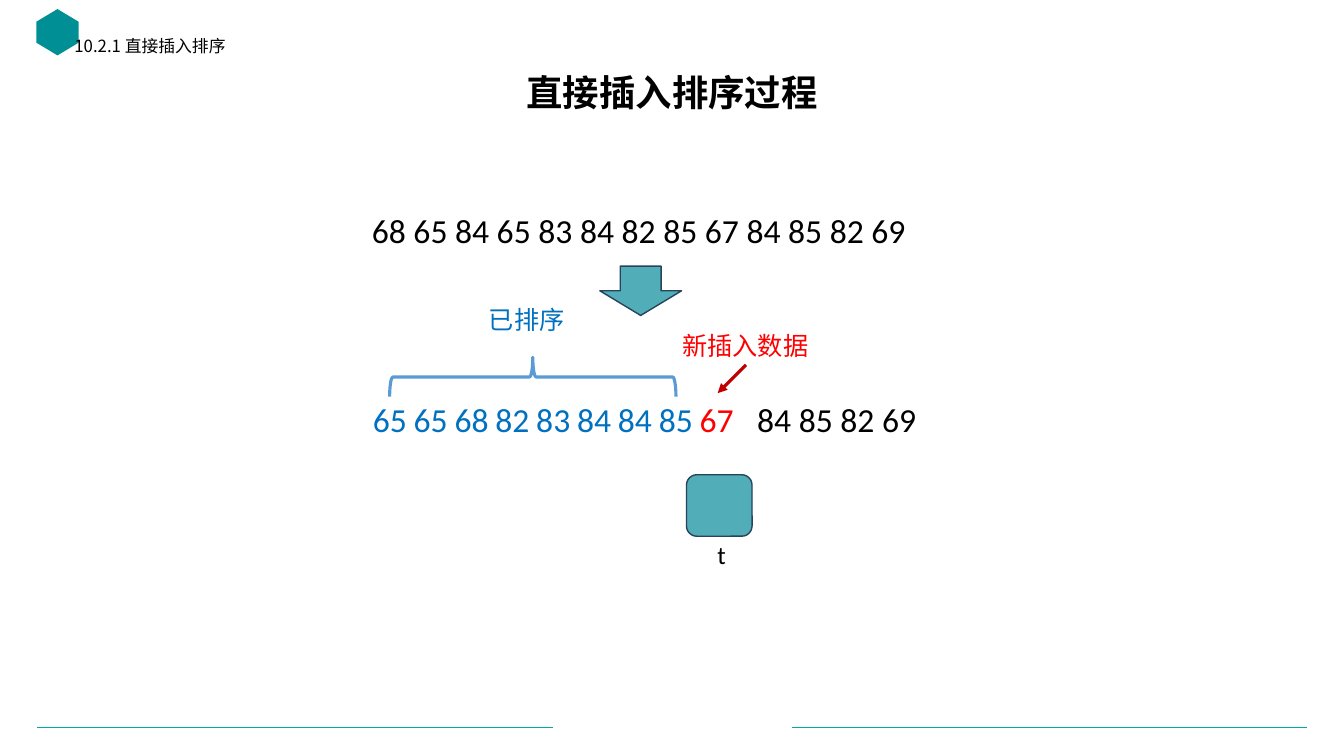
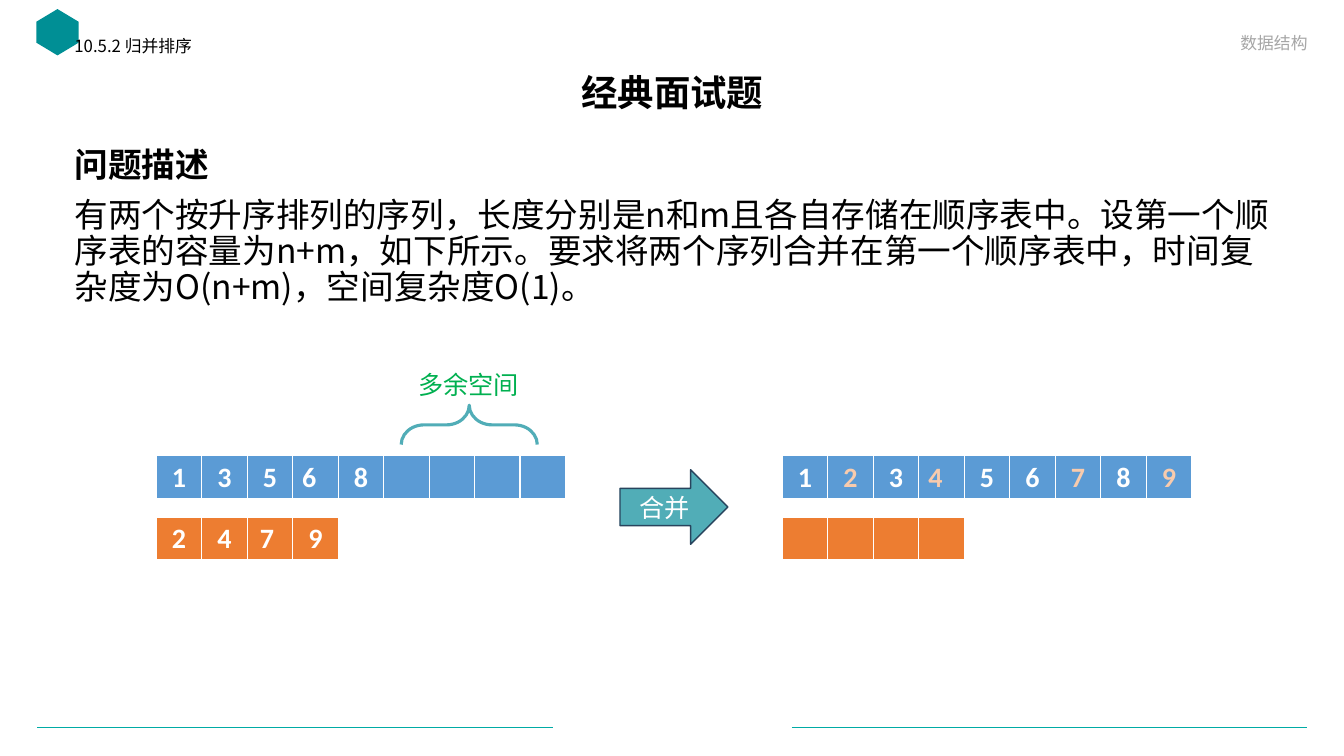
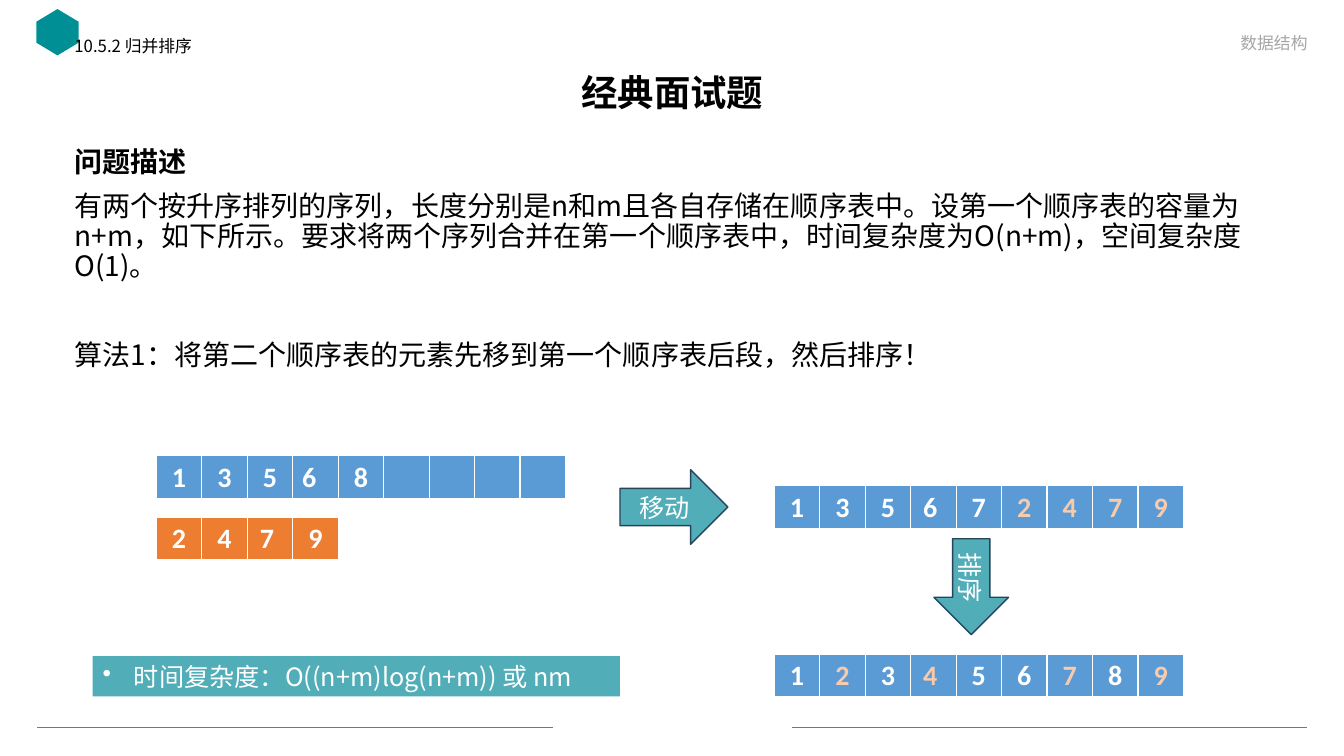
from dataclasses import dataclass

from lxml.etree import SubElement
from pptx import Presentation
from pptx.dml.color import RGBColor as Rgb
from pptx.enum.shapes import MSO_CONNECTOR as Link, MSO_SHAPE as Shape
from pptx.enum.text import MSO_ANCHOR as Anchor, PP_ALIGN as Align
from pptx.oxml import parse_xml
from pptx.oxml.ns import nsdecls, qn
from pptx.util import Inches, Pt


@dataclass(frozen=True)
class Theme:
    """Colours, fonts and type sizes of the deck."""
    ink: str = "000000"
    white: str = "FFFFFF"
    muted: str = "A6A6A6"
    rule: str = "00ABA5"
    mark: str = "008F95"
    teal: str = "51ADB7"
    edge: str = "28445D"
    blue: str = "5B9BD5"
    orange: str = "ED7D31"
    peach: str = "F8CBAD"
    sorted_blue: str = "0070C0"
    red: str = "FF0000"
    dark_red: str = "C00000"
    green: str = "00B050"
    han: str = "Noto Sans CJK SC"
    latin: str = "Calibri"
    title: int = 26
    number: int = 24
    cell: int = 20
    label: int = 18
    header: int = 12
    leading: float = 1.22
    body_leading: float = 1.07


class Deck:
    """Draws slides; every place and size is a percentage of the slide."""

    def __init__(self, theme):
        """Open an empty widescreen deck."""
        self.theme = theme
        self.file = Presentation()
        self.file.slide_width, self.file.slide_height = Inches(13.33), Inches(7.5)
        self.slide = None

    def col(self, share):
        """Turn a share of the width into a length."""
        return round(self.file.slide_width * share / 100)

    def row(self, share):
        """Turn a share of the height into a length."""
        return round(self.file.slide_height * share / 100)

    def box(self, x, y, w, h):
        """Turn four shares into left, top, width and height."""
        return self.col(x), self.row(y), self.col(w), self.row(h)

    def start(self, section, title, course=None):
        """Add a slide with its header, title and footer rules."""
        t = self.theme
        self.slide = self.file.slides.add_slide(self.file.slide_layouts[6])
        for left in (2.78, 58.93):
            self.line((left, 96.27), (left + 38.35, 96.27), t.rule, 0.5)
        self.shape(Shape.HEXAGON, (2.55, 1.47, 3.45, 5.6), t.mark, turn=90, adjust=[0.3])
        self.text((6.9, 8.27, 86.25, 7.6), title, t.title, bold=True,
                  align=Align.CENTER, anchor=Anchor.MIDDLE)
        self.text((4.8, 4, 39.9, 4.8), section, t.header)
        if course:
            self.text((55.73, 2.93, 42.3, 4.67), course, t.header, t.muted,
                      align=Align.RIGHT, anchor=Anchor.BOTTOM)

    def style(self, paragraph, size, color, font=None, bold=False, leading=None):
        """Format the runs of a paragraph."""
        if leading:
            paragraph.line_spacing = Pt(round(size * leading, 1))
        for run in paragraph.runs:
            run.font.size, run.font.bold = Pt(size), bold
            run.font.color.rgb = Rgb.from_string(color)
            run.font.name = font or self.theme.han
            SubElement(run.font._element, qn("a:ea")).set("typeface", self.theme.han)

    def text(self, place, words, size, color=None, font=None, bold=False,
             align=Align.LEFT, anchor=Anchor.TOP):
        """Add a one-paragraph text box."""
        frame = self.slide.shapes.add_textbox(*self.box(*place)).text_frame
        frame.word_wrap, frame.vertical_anchor = True, anchor
        frame.text = words
        paragraph = frame.paragraphs[0]
        paragraph.alignment = align
        self.style(paragraph, size, color or self.theme.ink, font, bold, self.theme.leading)

    def body(self, size, heading, *passages):
        """Add a bold heading and (words, space before) passages."""
        frame = self.slide.shapes.add_textbox(*self.box(4.8, 18.93, 90.68, 73.73)).text_frame
        frame.word_wrap = True
        for index, (words, gap) in enumerate([(heading, 0), *passages]):
            paragraph = frame.add_paragraph() if index else frame.paragraphs[0]
            paragraph.text = words
            paragraph.space_before = Pt(gap)
            self.style(paragraph, size, self.theme.ink, bold=index == 0,
                       leading=self.theme.body_leading)

    def shape(self, kind, place, fill=None, edge=None, weight=1, turn=0, adjust=(),
              words=None, bullet=False):
        """Add a preset shape, with white text if words are given."""
        part = self.slide.shapes.add_shape(kind, *self.box(*place))
        part.shadow.inherit = False
        part.rotation = turn
        for index, value in enumerate(adjust):
            part.adjustments[index] = value
        if fill:
            part.fill.solid()
            part.fill.fore_color.rgb = Rgb.from_string(fill)
        else:
            part.fill.background()
        if edge:
            part.line.color.rgb = Rgb.from_string(edge)
            part.line.width = Pt(weight)
        else:
            part.line.fill.background()
        if words:
            frame = part.text_frame
            frame.word_wrap, frame.vertical_anchor = True, Anchor.MIDDLE
            frame.text = words
            paragraph = frame.paragraphs[0]
            paragraph.alignment = Align.LEFT if bullet else Align.CENTER
            if bullet:
                props = paragraph._p.get_or_add_pPr()
                props.set("marL", str(Inches(0.31)))
                props.set("indent", str(-Inches(0.31)))
                SubElement(props, qn("a:buChar")).set("char", "•")
            self.style(paragraph, self.theme.label, self.theme.white,
                       self.theme.han if bullet else self.theme.latin,
                       leading=self.theme.leading)

    def block_arrow(self, place, words=None, kind=Shape.RIGHT_ARROW, turn=0):
        """Add a teal block arrow."""
        self.shape(kind, place, self.theme.teal, self.theme.edge, turn=turn, words=words)

    def brace(self, place, color, adjust=()):
        """Add a brace that opens downwards."""
        self.shape(Shape.RIGHT_BRACE, place, edge=color, weight=2.25, turn=270, adjust=adjust)

    def line(self, start, end, color, weight, arrow=False):
        """Add a straight line, with an arrowhead at its end if asked."""
        link = self.slide.shapes.add_connector(
            Link.STRAIGHT, self.col(start[0]), self.row(start[1]),
            self.col(end[0]), self.row(end[1]))
        link.line.color.rgb = Rgb.from_string(color)
        link.line.width = Pt(weight)
        if arrow:
            SubElement(link.line._get_or_add_ln(), qn("a:tailEnd")).set("type", "triangle")
        SubElement(link._element.spPr, qn("a:effectLst"))

    def sequence(self, x, y, digits, length, fill, moved=(), nudges=None):
        """Add a one-row table of digits; moved positions are tinted."""
        t = self.theme
        table = self.slide.shapes.add_table(
            1, length, *self.box(x, y, 3.385 * length, 5.73)).table
        table.first_row = table.horz_banding = False
        for index, digit in enumerate(digits.ljust(length)):
            cell = table.cell(0, index)
            cell.fill.solid()
            cell.fill.fore_color.rgb = Rgb.from_string(fill)
            shift = (nudges or {}).get(index, 0)
            cell.margin_left, cell.margin_right = Inches(0.1 - shift), Inches(0.1 + shift)
            cell.text = digit.strip()
            paragraph = cell.text_frame.paragraphs[0]
            paragraph.alignment = Align.CENTER
            self.style(paragraph, t.cell, t.peach if index in moved else t.white,
                       t.latin, bold=True)
            props = cell._tc.get_or_add_tcPr()
            for order, (side, weight) in enumerate(zip("LRTB", (1, 1, 1, 3))):
                props.insert(order, parse_xml(
                    f'<a:ln{side} {nsdecls("a")} w="{Pt(weight)}"><a:solidFill>'
                    f'<a:srgbClr val="{t.white}"/></a:solidFill></a:ln{side}>'))

    def two_lists(self):
        """Add the two sorted lists before merging."""
        self.sequence(11.62, 60.27, "13568", 9, self.theme.blue, nudges={3: 0.06})
        self.sequence(11.62, 68.4, "2479", 4, self.theme.orange, nudges={2: 0.03})


PROBLEM = ("有两个按升序排列的序列，长度分别是n和m且各自存储在顺序表中。"
           "设第一个顺序表的容量为n+m，如下所示。要求将两个序列合并在第一个顺序表中，"
           "时间复杂度为O(n+m)，空间复杂度O(1)。")
MERGED = "123456789"
FROM_SECOND = (1, 3, 6, 8)
INTERVIEW = ("10.5.2 归并排序", "经典面试题", "数据结构")
MERGE_ARROW = (46.13, 62.13, 8.03, 9.87)


def insertion_sort(deck):
    """Show one step of the straight insertion sort."""
    t = deck.theme
    deck.start("10.2.1 直接插入排序", "直接插入排序过程")
    deck.shape(Shape.ROUNDED_RECTANGLE, (51.08, 62.8, 4.88, 8.13), t.teal, t.edge)
    deck.text((52.65, 70.67, 4, 5.33), "t", t.label, font=t.latin)
    deck.text((26.93, 27.07, 50, 6.67), "68 65 84 65 83 84 82 85 67 84 85 82 69",
              t.number, font=t.latin)
    for index, number in enumerate("65 65 68 82 83 84 84 85 67".split()):
        deck.text((27 + 3.04 * index, 52, 4.05, 6.67), number, t.number,
                  t.red if index == 8 else t.sorted_blue, t.latin)
    deck.text((55.6, 52, 16, 6.67), "84 85 82 69", t.number, font=t.latin)
    deck.block_arrow((44.63, 35.2, 6.08, 6.53), kind=Shape.DOWN_ARROW)
    deck.text((35.63, 39.47, 9, 5.33), "已排序", t.label, t.sorted_blue)
    deck.brace((38.18, 30.93, 2.93, 37.87), t.blue)
    deck.text((50.03, 42.93, 13, 5.33), "新插入数据", t.label, t.red, t.latin)
    deck.line((55.5, 48.27), (53.4, 52), t.dark_red, 2.25, arrow=True)


def merge_problem(deck):
    """State the merging problem."""
    t = deck.theme
    deck.start(*INTERVIEW)
    deck.body(24, "问题描述", (PROBLEM, 10))
    deck.two_lists()
    deck.brace((33.45, 47.2, 2.93, 18), t.teal, (0.58, 0.5))
    deck.text((30.38, 48.13, 11, 5.33), "多余空间", t.label, t.green, t.latin)
    deck.block_arrow(MERGE_ARROW, "合并")
    deck.sequence(58.2, 60.27, MERGED, 9, t.blue, FROM_SECOND, {3: 0.06})
    deck.sequence(58.2, 68.4, "", 4, t.orange)


def move_and_sort(deck):
    """Show the first algorithm: move, then sort."""
    t = deck.theme
    deck.start(*INTERVIEW)
    deck.body(20, "问题描述", (PROBLEM, 10),
              ("算法1：将第二个顺序表的元素先移到第一个顺序表后段，然后排序！", 42))
    deck.two_lists()
    deck.block_arrow(MERGE_ARROW, "移动")
    deck.sequence(57.6, 64.27, "135672479", 9, t.blue, range(5, 9), {3: 0.03})
    deck.sequence(57.6, 86.53, MERGED, 9, t.blue, FROM_SECOND, {3: 0.03})
    deck.block_arrow((68.7, 72.67, 7.13, 9.87), "排序", turn=90)
    deck.shape(Shape.RECTANGLE, (6.9, 86.8, 39.23, 5.33), t.teal,
               words="时间复杂度：O((n+m)log(n+m)) 或 nm", bullet=True)


def main():
    """Build and save the deck."""
    deck = Deck(Theme())
    for draw in (insertion_sort, merge_problem, move_and_sort):
        draw(deck)
    deck.file.save("out.pptx")


if __name__ == "__main__":
    main()
